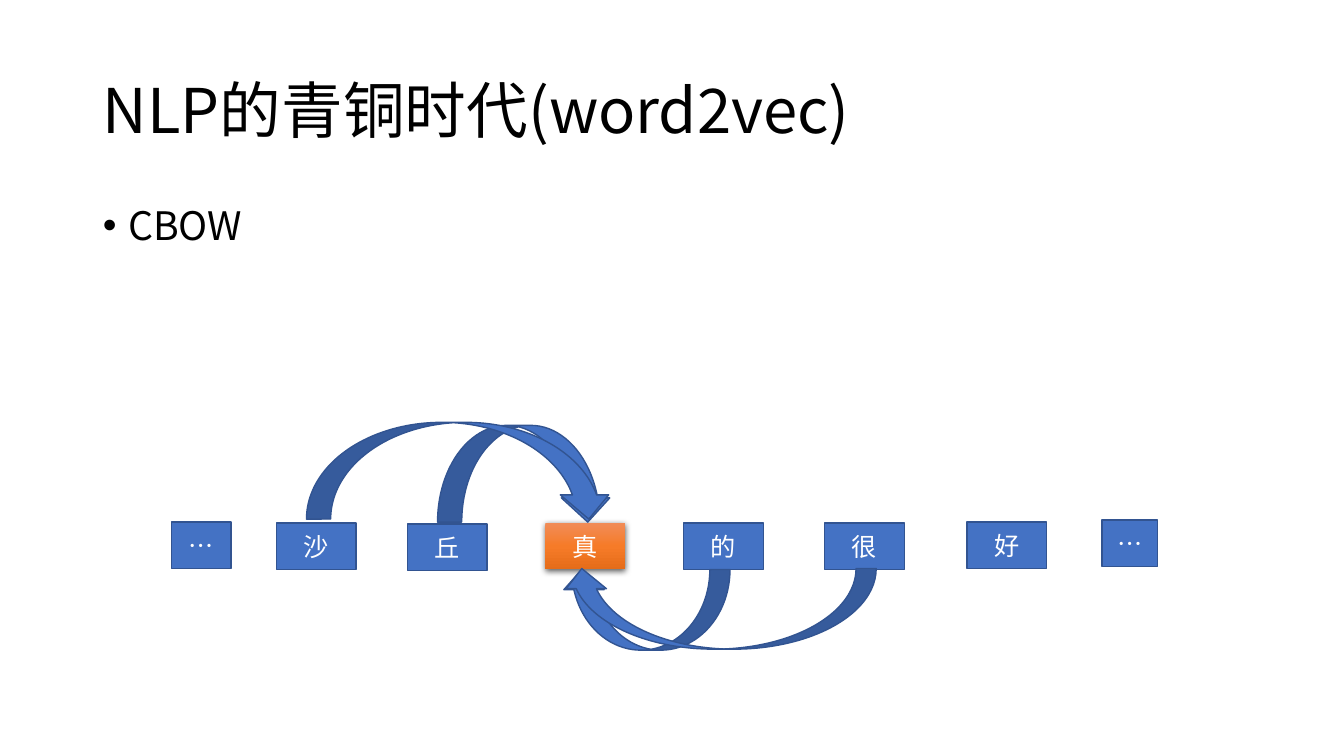
from lxml import etree
from pptx import Presentation
from pptx.dml.color import RGBColor
from pptx.enum import shapes, text
from pptx.oxml import parse_xml
from pptx.oxml.ns import nsdecls, qn
from pptx.util import Inches, Pt

# Content
TITLE = "NLP的青铜时代(word2vec)"
BULLET = "CBOW"
FONT = "Noto Sans CJK SC"
COLORS = {"text": "000000", "label": "FFFFFF", "blue": "4472C4", "edge": "325491"}
TARGET_GRADIENT = [(0, "F18C57"), (50, "F67B28"), (100, "E56C19")]
TARGET = "真"
WORD_W, WORD_H = 0.79, 0.46
WORDS = [  # label, left, top, width
    ("…", 1.7, 5.18, 0.59),
    ("沙", 2.74, 5.19, WORD_W),
    ("丘", 4.04, 5.2, WORD_W),
    (TARGET, 5.41, 5.19, WORD_W),
    ("的", 6.78, 5.19, WORD_W),
    ("很", 8.18, 5.19, WORD_W),
    ("好", 9.59, 5.18, WORD_W),
    ("…", 10.93, 5.16, 0.55),
]
ARROWS = [  # left, top, width, height, rotation
    (5.57, 5.65, 1.67, 0.8, 180),
    (5.57, 5.64, 3.12, 0.8, 180),
    (4.34, 4.22, 1.73, 0.96, 0),
    (3.04, 4.19, 3.04, 0.96, 0),
]


def rgb(name):
    return RGBColor.from_string(COLORS[name])


def write(tf, words, size, color="text", align=text.PP_ALIGN.LEFT,
          anchor=text.MSO_ANCHOR.TOP, spacing=None, bullet=None):
    tf.word_wrap = True
    tf.auto_size = text.MSO_AUTO_SIZE.NONE
    tf.vertical_anchor = anchor
    p = tf.paragraphs[0]
    p.alignment = align
    p.space_before = Pt(0)
    if spacing:
        p.line_spacing = spacing
    if bullet:
        pPr = p._p.get_or_add_pPr()
        pPr.set("marL", str(Inches(0.25)))
        pPr.set("indent", str(-Inches(0.25)))
        etree.SubElement(pPr, qn("a:buChar")).set("char", bullet)
    r = p.add_run()
    r.text = words
    r.font.size = Pt(size)
    r.font.name = FONT
    r.font.color.rgb = rgb(color)
    etree.SubElement(r._r.get_or_add_rPr(), qn("a:ea")).set("typeface", FONT)


def place(sp, left, top, width, height):
    sp.left, sp.top = Inches(left), Inches(top)
    sp.width, sp.height = Inches(width), Inches(height)


def add_blue(s, kind, left, top, width, height):
    sp = s.shapes.add_shape(kind, Inches(left), Inches(top), Inches(width), Inches(height))
    sp.shadow.inherit = False
    sp.fill.solid()
    sp.fill.fore_color.rgb = rgb("blue")
    sp.line.color.rgb = rgb("edge")
    sp.line.width = Pt(1)
    return sp


def highlight(sp):
    """Gradient fill and soft shadow for the predicted word."""
    sp.line.fill.background()
    spPr = sp._element.spPr
    stops = "".join(f'<a:gs pos="{pos * 1000}"><a:srgbClr val="{color}"/></a:gs>'
                    for pos, color in TARGET_GRADIENT)
    spPr.replace(spPr.find(qn("a:solidFill")), parse_xml(
        f'<a:gradFill {nsdecls("a")} rotWithShape="1"><a:gsLst>{stops}</a:gsLst>'
        '<a:lin ang="5400000" scaled="0"/></a:gradFill>'))
    spPr.find(qn("a:effectLst")).append(parse_xml(
        f'<a:outerShdw {nsdecls("a")} blurRad="{Pt(4.5)}" dist="{Pt(1.5)}" dir="5400000" '
        'algn="ctr" rotWithShape="0"><a:srgbClr val="000000"><a:alpha val="63000"/>'
        '</a:srgbClr></a:outerShdw>'))


prs = Presentation()
prs.slide_width, prs.slide_height = Inches(13.33), Inches(7.5)
s = prs.slides.add_slide(prs.slide_layouts[1])

# Title and bullet
title, body = s.shapes.title, s.placeholders[1]
place(title, 0.92, 0.4, 11.5, 1.45)
write(title.text_frame, TITLE, 44, anchor=text.MSO_ANCHOR.MIDDLE, spacing=0.9)
place(body, 0.92, 2, 11.5, 4.76)
write(body.text_frame, BULLET, 28, spacing=0.9, bullet="•")

# Word boxes
for label, left, top, width in WORDS:
    box = add_blue(s, shapes.MSO_SHAPE.RECTANGLE, left, top, width, WORD_H)
    write(box.text_frame, label, 18, color="label", align=text.PP_ALIGN.CENTER,
          anchor=text.MSO_ANCHOR.MIDDLE)
    if label == TARGET:
        highlight(box)

# Context arrows
for left, top, width, height, rotation in ARROWS:
    arrow = add_blue(s, shapes.MSO_SHAPE.CURVED_DOWN_ARROW, left, top, width, height)
    arrow.rotation = rotation

prs.save("out.pptx")
